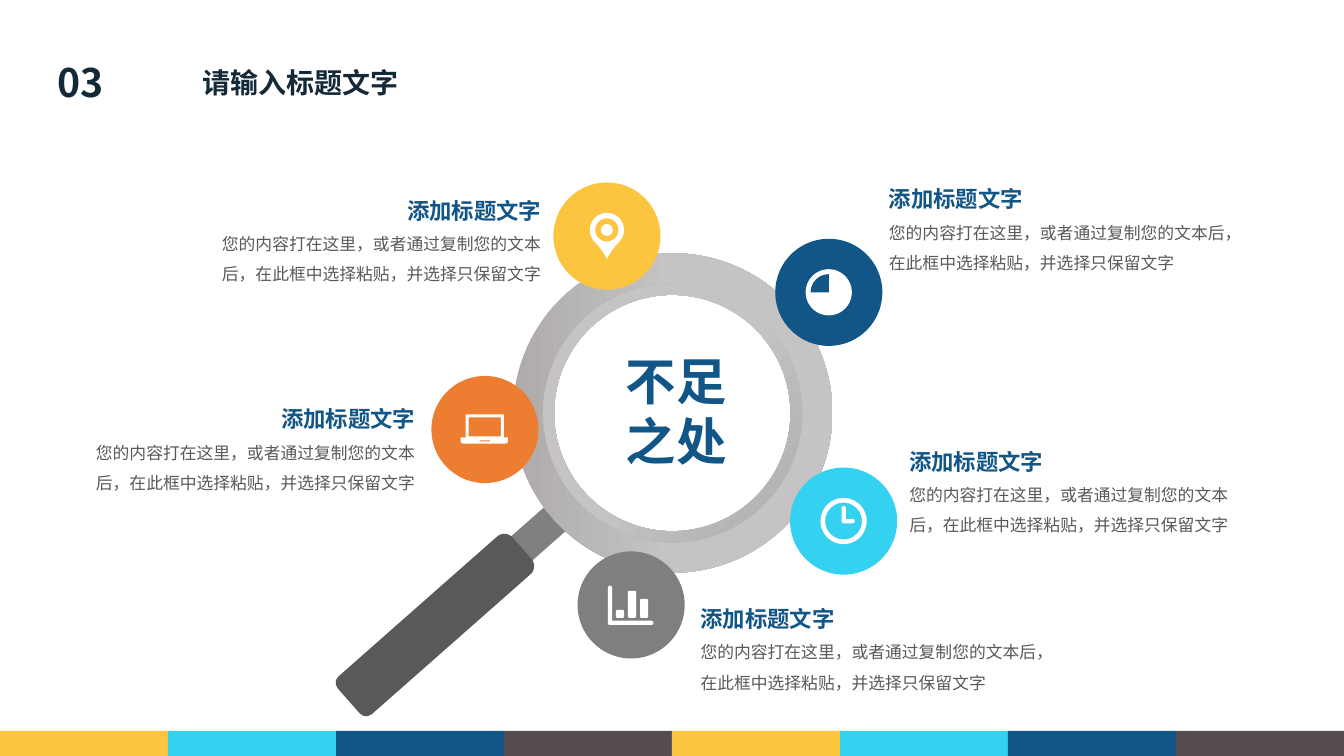
import copy

import pptx
import pptx.dml.color
import pptx.enum.shapes
import pptx.enum.text
import pptx.oxml.ns
import pptx.util
from lxml import etree

Pt = pptx.util.Pt
KIND = pptx.enum.shapes.MSO_SHAPE
ALIGN = pptx.enum.text.PP_ALIGN
FIT = pptx.enum.text.MSO_AUTO_SIZE

WIDTH, HEIGHT = 960, 540
NAVY, BLUE, YELLOW, CYAN = "142938", "115686", "FCC540", "35D1F1"
BROWN, ORANGE, GREY, DARK, WHITE = "554C51", "ED7D31", "7F7F7F", "595959", "FFFFFF"
HEADING = "添加标题文字"
BODY = "您的内容打在这里，或者通过复制您的文本后，在此框中选择粘贴，并选择只保留文字"
BADGE = 76.5


def color(value):
    return pptx.dml.color.RGBColor.from_string(value)


def assign(target, values):
    for name, value in values.items():
        setattr(target, name, value)


class SlideBuilder:
    typeface = "Noto Sans CJK SC"

    def __init__(self, slide):
        self.slide = slide

    def group(self):
        return self.slide.shapes.add_group_shape().shapes

    def shape(self, shapes, kind, box, fill, adjust=(), rotation=0):
        """Add a borderless preset; a pair of fills makes a gradient to mid-width."""
        part = shapes.add_shape(kind, *map(Pt, box))
        part.shadow.inherit = False
        part.line.fill.background()
        part.rotation = rotation
        for index, value in enumerate(adjust):
            part.adjustments[index] = value
        if isinstance(fill, str):
            part.fill.solid()
            part.fill.fore_color.rgb = color(fill)
        else:
            part.fill.gradient()
            for stop, value, position in zip(part.fill.gradient_stops, fill, (0, 0.5)):
                stop.color.rgb = color(value)
                stop.position = position
        return part

    def run(self, paragraph, words, size, tint, bold=True):
        run = paragraph.add_run()
        run.text = words
        assign(run.font, {"size": Pt(size), "bold": bold, "name": self.typeface})
        run.font.color.rgb = color(tint)
        east_asian = etree.SubElement(run._r.rPr, pptx.oxml.ns.qn("a:ea"))
        east_asian.set("typeface", self.typeface)
        return run

    def frame(self, box, inset=0):
        frame = self.slide.shapes.add_textbox(*map(Pt, box)).text_frame
        assign(frame, {"word_wrap": True, "auto_size": FIT.SHAPE_TO_FIT_TEXT})
        if inset is not None:
            sides = ("left", "top", "right", "bottom")
            assign(frame, {f"margin_{side}": Pt(inset) for side in sides})
        return frame

    def lines(self, box, lines, size, tint, inset=0):
        frame = self.frame(box, inset)
        for index, words in enumerate(lines):
            paragraph = frame.add_paragraph() if index else frame.paragraphs[0]
            paragraph.alignment = ALIGN.CENTER
            self.run(paragraph, words, size, tint)

    def title(self, box, words):
        title = self.slide.shapes.title
        assign(title, dict(zip(("left", "top", "width", "height"), map(Pt, box))))
        assign(title.text_frame, {"word_wrap": False, "auto_size": FIT.NONE})
        paragraph = title.text_frame.paragraphs[0]
        paragraph.alignment = ALIGN.LEFT
        self.run(paragraph, words, 20, NAVY)

    def callout(self, left, top, width, align):
        """Add a heading and its body, split by a line break of heading size."""
        paragraph = self.frame((left, top, width, 70)).paragraphs[0]
        assign(paragraph, {"alignment": align, "line_spacing": 1.5})
        heading = self.run(paragraph, HEADING, 16, BLUE)
        paragraph.add_line_break()
        paragraph._p[-1].append(copy.deepcopy(heading._r.rPr))
        self.run(paragraph, BODY, 12, DARK, False)

    def badge(self, x, y, fill, icon):
        """Add a disc centred at x, y; icon boxes are relative to that centre."""
        shapes = self.group()
        self.shape(shapes, KIND.OVAL, (x - BADGE / 2, y - BADGE / 2, BADGE, BADGE), fill)
        for kind, (left, top, width, height), tint, adjust, rotation in icon:
            self.shape(shapes, kind, (x + left, y + top, width, height),
                       tint, adjust, rotation)


PIN = [
    (KIND.TEAR, (-12.25, -16.6, 24.5, 24.5), WHITE, (1.19,), 135),
    (KIND.OVAL, (-8.25, -12.6, 16.5, 16.5), YELLOW, (), 0),
    (KIND.OVAL, (-4.3, -8.65, 8.6, 8.6), WHITE, (), 0),
]
PIE = [
    (KIND.OVAL, (-16.5, -16.5, 33, 33), WHITE, (), 0),
    (KIND.PIE, (-13, -13, 26, 26), BLUE, (108, 162), 0),
]
CLOCK = [
    (KIND.DONUT, (-16.5, -16.5, 33, 33), WHITE, (0.1,), 0),
    (KIND.ROUNDED_RECTANGLE, (-1.4, -10.8, 3, 12.4), WHITE, (0.5,), 0),
    (KIND.ROUNDED_RECTANGLE, (-1.4, -1.4, 9.4, 3), WHITE, (0.5,), 0),
]
LAPTOP = [
    (KIND.FRAME, (-13.8, -10.9, 27.4, 18), WHITE, (0.12,), 0),
    (KIND.ROUND_2_SAME_RECTANGLE, (-17.4, 5.7, 33.8, 4.3), WHITE, (0.4, 0), 180),
    (KIND.RECTANGLE, (-3.7, 7.8, 7.2, 0.8), ORANGE, (), 0),
]
BARS = [
    (KIND.ROUNDED_RECTANGLE, (-16.6, -13.8, 3, 28), WHITE, (0.5,), 0),
    (KIND.ROUNDED_RECTANGLE, (-16.6, 11.3, 32.6, 3), WHITE, (0.5,), 0),
] + [
    (KIND.ROUNDED_RECTANGLE, (-10.9 + 8.64 * index, 9.3 - height, 5.8, height),
     WHITE, (0.2,), 0)
    for index, height in enumerate((5.8, 19.4, 13.7))
]
BADGES = [
    (450.8, 432.1, GREY, BARS),
    (592, 208.8, BLUE, PIE),
    (602.6, 372.2, CYAN, CLOCK),
    (433.5, 168.6, YELLOW, PIN),
    (346.4, 306.8, ORANGE, LAPTOP),
]
CALLOUTS = [
    (57, 280, 239.5, ALIGN.RIGHT),
    (147, 131, 239.5, ALIGN.RIGHT),
    (635, 123, 243.5, ALIGN.LEFT),
    (649.5, 310.3, 232, ALIGN.LEFT),
    (500.4, 422.6, 256, ALIGN.LEFT),
]


def magnifier(builder):
    shapes = builder.group()
    tilt = 48.6
    builder.shape(shapes, KIND.ROUNDED_RECTANGLE, (319, 328.5, 23, 200.8),
                  "808080", (0.5,), tilt)
    builder.shape(shapes, KIND.ROUND_2_SAME_RECTANGLE, (293, 363.6, 36, 165),
                  DARK, (0.167, 0.22), 180 + tilt)
    for box, thickness, angle in (
        ((381.6, 196.4, 197.2, 197.2), 0.072, 140),
        ((366.4, 180.9, 228.2, 228.2), 0.093, 0),
    ):
        ring = builder.shape(shapes, KIND.DONUT, box, ("AFABAB", "C5C3C3"), (thickness,))
        ring.fill.gradient_angle = angle


def main():
    deck = pptx.Presentation()
    assign(deck, {"slide_width": Pt(WIDTH), "slide_height": Pt(HEIGHT)})
    builder = SlideBuilder(deck.slides.add_slide(deck.slide_layouts[5]))

    builder.lines((32.4, 38.2, 49.7, 41), ["03"], 28, NAVY, None)
    builder.title((137.5, 43.2, 156.2, 31.7), "请输入标题文字")
    footer = builder.group()
    band = WIDTH / 8
    for index, fill in enumerate((YELLOW, CYAN, BLUE, BROWN) * 2):
        builder.shape(footer, KIND.RECTANGLE, (band * index, 522, band, 18), fill)

    magnifier(builder)
    for badge in BADGES:
        builder.badge(*badge)
    for callout in CALLOUTS:
        builder.callout(*callout)
    builder.lines((399, 249.8, 168, 87), ["不足", "之处"], 36, BLUE)
    deck.save("out.pptx")


if __name__ == "__main__":
    main()
